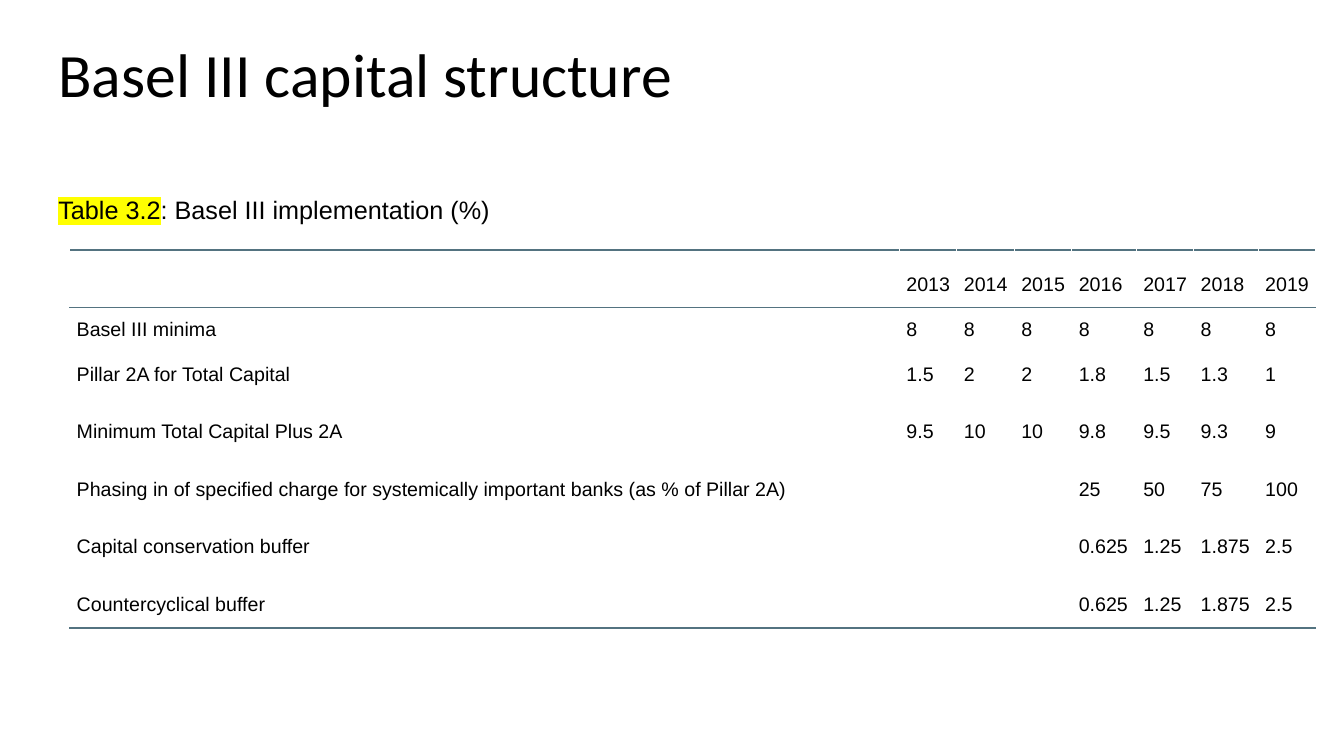
import pptx
import pptx.dml.color
import pptx.enum.text
import pptx.oxml
import pptx.oxml.ns
import pptx.util

WIDE, HIGH = 13.33, 7.5
BLACK, WHITE, SLATE, YELLOW = "000000", "FFFFFF", "537380", "FFFF00"
ALIGN = pptx.enum.text.PP_ALIGN
ANCHOR = pptx.enum.text.MSO_ANCHOR
FIT = pptx.enum.text.MSO_AUTO_SIZE
DRAW = pptx.oxml.ns.nsdecls("a")

# Boxes are left, top, width, height in percent of the slide
TITLE = (3.6, 0.53, 86.27, 19.33)
LABEL = (3.6, 23.07, 50.04, 6.67)
TABLE = (5.18, 33.07, 92.72, 49.2)

# Relative widths of columns and heights of rows
COLS = [8.23, 0.57, 0.57, 0.57, 0.64, 0.57, 0.64, 0.57]
ROWS = [0.57, 0.27] + [0.57] * 5

DATA = [
    ["", "2013", "2014", "2015", "2016", "2017", "2018", "2019"],
    ["Basel III minima"] + ["8"] * 7,
    ["Pillar 2A for Total Capital", "1.5", "2", "2", "1.8", "1.5", "1.3", "1"],
    ["Minimum Total Capital Plus 2A", "9.5", "10", "10", "9.8", "9.5", "9.3", "9"],
    ["Phasing in of specified charge for systemically important banks "
     "(as % of Pillar 2A)", "", "", "", "25", "50", "75", "100"],
    ["Capital conservation buffer", "", "", "", "0.625", "1.25", "1.875", "2.5"],
    ["Countercyclical buffer", "", "", "", "0.625", "1.25", "1.875", "2.5"],
]


def color(code):
    return pptx.dml.color.RGBColor.from_string(code)


def place(box):
    """Turn a box in percent into slide lengths."""
    sides = (WIDE, HIGH, WIDE, HIGH)
    return [pptx.util.Inches(part * side / 100) for part, side in zip(box, sides)]


def add_run(para, text, size, font="Arial", mark=None):
    run = para.add_run()
    run.text = text
    run.font.size = pptx.util.Pt(size)
    run.font.name = font
    run.font.color.rgb = color(BLACK)
    if mark:
        xml = f'<a:highlight {DRAW}><a:srgbClr val="{mark}"/></a:highlight>'
        props = run.font.fill._xPr
        props.find(pptx.oxml.ns.qn("a:solidFill")).addnext(pptx.oxml.parse_xml(xml))


def add_title(slide, box):
    title = slide.shapes.title
    title.left, title.top, title.width, title.height = place(box)
    frame = title.text_frame
    frame.auto_size = FIT.NONE
    frame.vertical_anchor = ANCHOR.MIDDLE
    para = frame.paragraphs[0]
    para.alignment = ALIGN.LEFT
    para.line_spacing = 0.9
    add_run(para, "Basel III capital structure", 44, "Calibri")


def add_label(slide, box):
    frame = slide.shapes.add_textbox(*place(box)).text_frame
    frame.word_wrap = True
    frame.auto_size = FIT.SHAPE_TO_FIT_TEXT
    para = frame.paragraphs[0]
    para.alignment = ALIGN.JUSTIFY
    para.line_spacing = 1.5
    para.space_after = pptx.util.Pt(12)
    add_run(para, "Table 3.2", 18, mark=YELLOW)
    add_run(para, ": Basel III implementation (%)", 18)


def set_edges(cell, top, base):
    """Rule the cell in slate above or below, and in white elsewhere."""
    props = cell._tc.get_or_add_tcPr()
    edges = (("L", False), ("R", False), ("T", top), ("B", base))
    for spot, (side, ruled) in enumerate(edges):
        shade, width = (SLATE, 1.5) if ruled else (WHITE, 1)
        xml = (f'<a:ln{side} {DRAW} w="{pptx.util.Pt(width)}"><a:solidFill>'
               f'<a:srgbClr val="{shade}"/></a:solidFill></a:ln{side}>')
        props.insert(spot, pptx.oxml.parse_xml(xml))


def fill_cell(cell, text):
    cell.fill.solid()
    cell.fill.fore_color.rgb = color(WHITE)
    cell.vertical_anchor = ANCHOR.MIDDLE
    cell.margin_left = cell.margin_right = 0
    cell.margin_top = cell.margin_bottom = 0
    if not text:
        return
    para = cell.text_frame.paragraphs[0]
    para.line_spacing = 1.5
    para.space_before = para.space_after = pptx.util.Pt(5)
    para._p.get_or_add_pPr().set("marL", str(pptx.util.Inches(0.07)))
    add_run(para, text, 14)


def add_grid(slide, box):
    left, top, width, height = place(box)
    table = slide.shapes.add_table(
        len(ROWS), len(COLS), left, top, width, height).table
    table.first_row = table.horz_banding = False
    for col, share in zip(table.columns, COLS):
        col.width = int(width * share / sum(COLS))
    for row, share in zip(table.rows, ROWS):
        row.height = int(height * share / sum(ROWS))
    last = len(DATA) - 1
    for r, line in enumerate(DATA):
        for c, text in enumerate(line):
            cell = table.cell(r, c)
            fill_cell(cell, text)
            set_edges(cell, top=r in (0, 1), base=r in (0, last))


def main():
    deck = pptx.Presentation()
    deck.slide_width = pptx.util.Inches(WIDE)
    deck.slide_height = pptx.util.Inches(HIGH)
    slide = deck.slides.add_slide(deck.slide_layouts[5])
    add_title(slide, TITLE)
    add_grid(slide, TABLE)
    add_label(slide, LABEL)
    deck.save("out.pptx")


if __name__ == "__main__":
    main()
